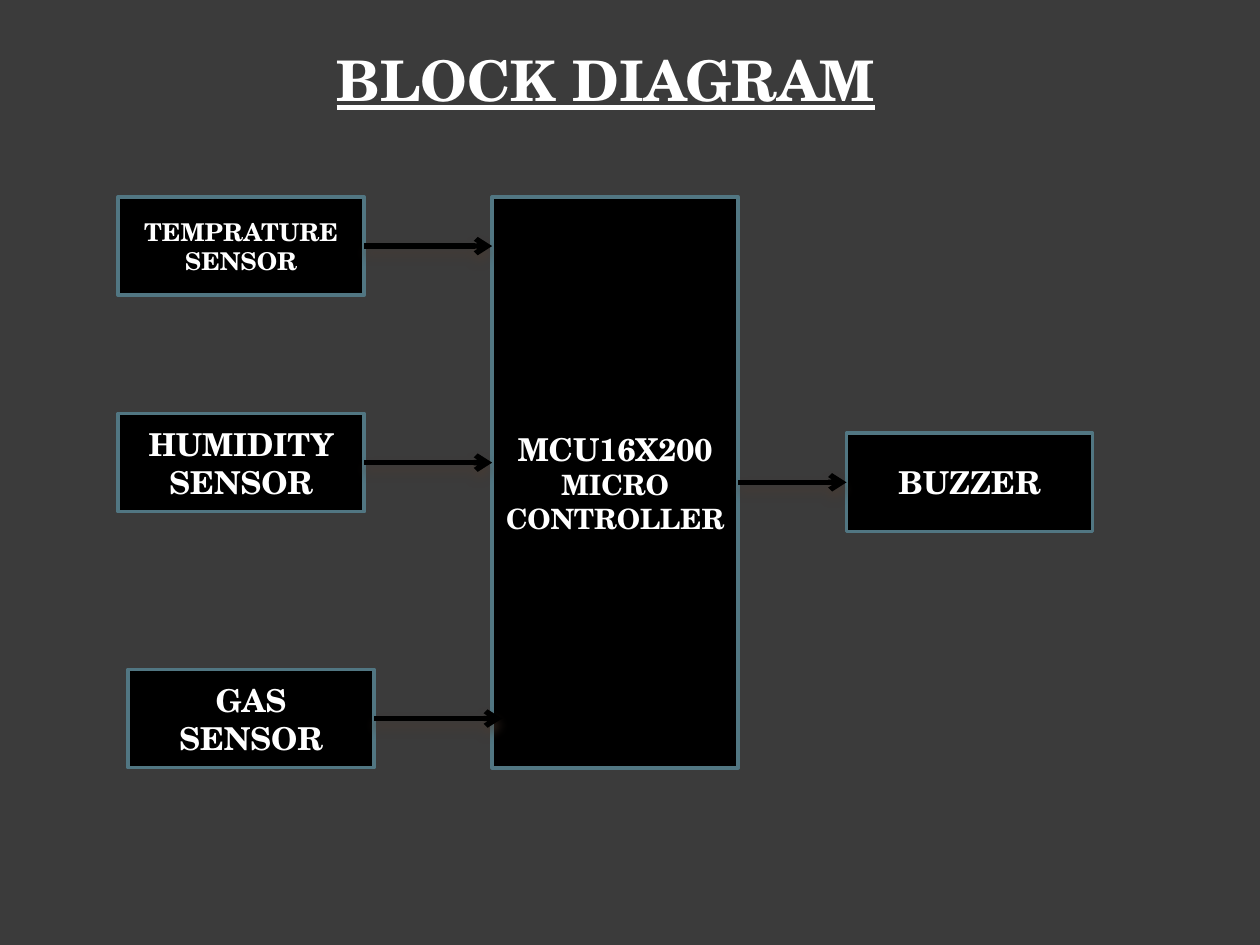
from lxml import etree
from pptx import Presentation
from pptx.dml.color import RGBColor
from pptx.enum.shapes import MSO_CONNECTOR as Connector, MSO_SHAPE as Shape
from pptx.enum.text import MSO_ANCHOR as Anchor, PP_ALIGN as Align
from pptx.oxml import parse_xml
from pptx.oxml.ns import nsdecls, qn
from pptx.util import Inches, Pt


def colour(value):
    return RGBColor.from_string(value)


def write(para, text, size, **extra):
    span = para.add_run()
    span.text = text
    span.font.color.rgb = colour("FFFFFF")
    for name, value in dict(name="TeX Gyre Schola", size=Pt(size), bold=True, **extra).items():
        setattr(span.font, name, value)


deck = Presentation()
deck.slide_width, deck.slide_height = Inches(10), Inches(7.5)
cell = deck.slide_width // 128
page = deck.slides.add_slide(deck.slide_layouts[5])
page.background.fill.solid()
page.background.fill.fore_color.rgb = colour("3B3B3B")

title = page.shapes.title
title.left, title.top, title.width, title.height = 15 * cell, 4 * cell, 91 * cell, 8 * cell
frame_format = dict(vertical_anchor=Anchor.TOP, margin_left=Inches(1.5), word_wrap=True)
for name, value in frame_format.items():
    setattr(title.text_frame, name, value)
title.text_frame.paragraphs[0].alignment = Align.LEFT
write(title.text_frame.paragraphs[0], "BLOCK DIAGRAM", 32, underline=True)

blocks = {
    "temperature": (12, 20, 10, [("TEMPRATURE SENSOR", 14)]),
    "humidity": (12, 42, 10, [("HUMIDITY SENSOR", 18)]),
    "gas": (13, 68, 10, [("GAS SENSOR", 18)]),
    "controller": (50, 20, 58, [("MCU16X200", 18), ("MICRO CONTROLLER", 16)]),
    "buzzer": (86, 44, 10, [("BUZZER", 18)]),
}
boxes = {}
for key, (column, row, rows, lines) in blocks.items():
    box = page.shapes.add_shape(
        Shape.RECTANGLE, column * cell, row * cell, 25 * cell, rows * cell)
    box.shadow.inherit = False
    box.fill.solid()
    box.fill.fore_color.rgb = colour("000000")
    box.line.color.rgb = colour("517682")
    box.line.width = Pt(2)
    frame = box.text_frame
    frame.word_wrap = True
    frame.vertical_anchor = Anchor.MIDDLE
    for index, (text, size) in enumerate(lines):
        para = frame.add_paragraph() if index else frame.paragraphs[0]
        para.alignment = Align.CENTER
        write(para, text, size)
    boxes[key] = box

shadow = (
    f'<a:effectLst {nsdecls("a")}>'
    f'<a:outerShdw blurRad="{Pt(6)}" dist="{Pt(4)}" dir="5400000" rotWithShape="0">'
    '<a:srgbClr val="4E3B30"><a:alpha val="60000"/></a:srgbClr>'
    '</a:outerShdw></a:effectLst>'
)
arrows = [
    ("temperature", 50, 25),
    ("humidity", 50, 47),
    ("gas", 51, 73),
    ("controller", 86, 49),
]
for source, column, row in arrows:
    start = boxes[source]
    arrow = page.shapes.add_connector(
        Connector.STRAIGHT, start.left + start.width, row * cell, column * cell, row * cell)
    arrow.begin_connect(start, 3)
    if source == "controller":
        arrow.end_connect(boxes["buzzer"], 1)
    arrow.line.color.rgb = colour("000000")
    arrow.line.width = Pt(3)
    etree.SubElement(arrow.line._get_or_add_ln(), qn("a:tailEnd"), type="arrow")
    arrow._element.spPr.append(parse_xml(shadow))

deck.save("out.pptx")
